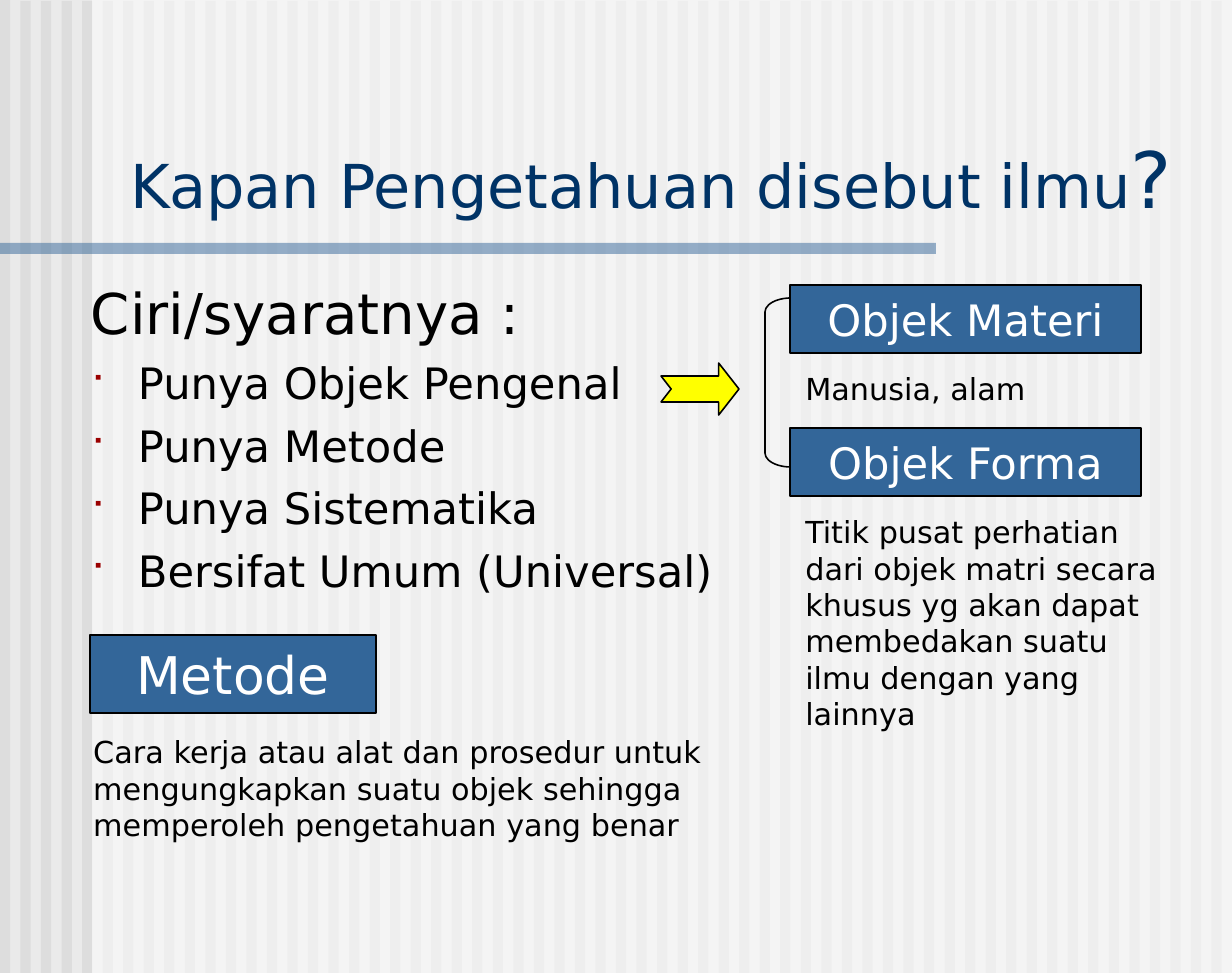
"""Build the slide on when knowledge is called science."""
from lxml.etree import SubElement
from pptx import Presentation
from pptx.dml.color import RGBColor
from pptx.enum.shapes import MSO_SHAPE as Shape
from pptx.enum.text import MSO_ANCHOR as Anchor, MSO_AUTO_SIZE as AutoSize, PP_ALIGN as Align
from pptx.oxml.ns import qn
from pptx.util import Pt

SCALE = 5877
WIDTH, HEIGHT = 1232, 973
STRIPES = 60
FONT = "DejaVu Sans"
COLORS = {
    "background": "EAEAEA", "stripe": "DDDDDD", "white": "FFFFFF",
    "blue": "336699", "title": "003366", "black": "000000",
    "bullet": "9A0000", "arrow": "FFFF00",
}


def add_figure(shapes, kind, box, fill=None, line=None, alpha=None):
    shape = shapes.add_shape(kind, *[round(value * SCALE) for value in box])
    shape.shadow.inherit = False
    if fill:
        shape.fill.solid()
        shape.fill.fore_color.rgb = RGBColor.from_string(COLORS[fill])
    else:
        shape.fill.background()
    if line:
        shape.line.color.rgb = RGBColor.from_string(COLORS[line])
        shape.line.width = Pt(0.75)
    else:
        shape.line.fill.background()
    if alpha:
        color = shape.element.spPr.find(qn("a:solidFill"))[0]
        SubElement(color, qn("a:alpha")).set("val", str(alpha * 1000))
    return shape


def add_text(paragraph, text, size, color):
    run = paragraph.add_run()
    run.text = text
    run.font.name = FONT
    run.font.size = Pt(size)
    run.font.color.rgb = RGBColor.from_string(COLORS[color])


presentation = Presentation()
presentation.slide_width = WIDTH * SCALE
presentation.slide_height = HEIGHT * SCALE
slide = presentation.slides.add_slide(presentation.slide_layouts[1])
slide.background.fill.solid()
slide.background.fill.fore_color.rgb = RGBColor.from_string(COLORS["background"])

pitch = WIDTH / STRIPES
stripes = slide.shapes.add_group_shape()
for number in range(STRIPES):
    add_figure(stripes.shapes, Shape.RECTANGLE, (number * pitch, min(number, 1), pitch / 2, HEIGHT), "stripe")
add_figure(slide.shapes, Shape.RECTANGLE, (92, 0, 1140, HEIGHT), "white", alpha=50)
add_figure(slide.shapes, Shape.RECTANGLE, (0, 243, 936, 11), "blue", alpha=50)

title, body = slide.placeholders
for placeholder, box, anchor in [
    (title, (118, 124, 1100, 106), Anchor.BOTTOM),
    (body, (78, 272, 1057, 430), Anchor.TOP),
]:
    for name, value in zip(("left", "top", "width", "height"), box):
        setattr(placeholder, name, value * SCALE)
    frame_format = {
        "auto_size": AutoSize.NONE, "word_wrap": True, "vertical_anchor": anchor,
        "margin_left": 13 * SCALE, "margin_right": 13 * SCALE,
        "margin_top": 6 * SCALE, "margin_bottom": 6 * SCALE,
    }
    for name, value in frame_format.items():
        setattr(placeholder.text_frame, name, value)
    placeholder.element.getparent().append(placeholder.element)

heading = title.text_frame.paragraphs[0]
heading.alignment = Align.LEFT
add_text(heading, "Kapan Pengetahuan disebut ilmu", 28, "title")
add_text(heading, "?", 36, "title")

traits = [
    "Ciri/syaratnya :",
    "Punya Objek Pengenal",
    "Punya Metode",
    "Punya Sistematika",
    "Bersifat Umum (Universal)",
]
for number, trait in enumerate(traits):
    paragraph = body.text_frame.add_paragraph() if number else body.text_frame.paragraphs[0]
    paragraph.space_before = Pt(5 if number else 6.5)
    add_text(paragraph, trait, 20 if number else 26, "black")
    properties = paragraph._p.get_or_add_pPr()
    properties.set("marL", str(47 * SCALE))
    properties.set("indent", str(-47 * SCALE))
    if number:
        bullet_color = SubElement(properties, qn("a:buClr"))
        SubElement(bullet_color, qn("a:srgbClr")).set("val", COLORS["bullet"])
        SubElement(properties, qn("a:buSzPct")).set("val", "75000")
        SubElement(properties, qn("a:buFont")).set("typeface", "Wingdings")
        SubElement(properties, qn("a:buChar")).set("char", "■")
    else:
        SubElement(properties, qn("a:buNone"))

for text, size, box in [
    ("Objek Materi", 20, (790, 285, 351, 68)),
    ("Objek Forma", 20, (790, 428, 351, 68)),
    ("Metode", 24, (90, 635, 286, 78)),
]:
    label = add_figure(slide.shapes, Shape.RECTANGLE, box, "blue", "black")
    label.text_frame.vertical_anchor = Anchor.MIDDLE
    label.text_frame.paragraphs[0].alignment = Align.CENTER
    add_text(label.text_frame.paragraphs[0], text, size, "white")

bracket = add_figure(slide.shapes, Shape.LEFT_BRACKET, (765, 298, 26, 169), line="black")
bracket.adjustments[0] = 0.54
arrow = add_figure(slide.shapes, Shape.NOTCHED_RIGHT_ARROW, (661, 363, 78, 52), "arrow", "black")
arrow.adjustments[1] = 0.39

for text, box in [
    ("Manusia, alam", (790, 363, 363, 53)),
    ("Titik pusat perhatian dari objek matri secara khusus yg akan dapat "
     "membedakan suatu ilmu dengan yang lainnya", (790, 506, 401, 198)),
    ("Cara kerja atau alat dan prosedur untuk mengungkapkan suatu objek "
     "sehingga memperoleh pengetahuan yang benar", (78, 726, 817, 125)),
]:
    note = slide.shapes.add_textbox(*[value * SCALE for value in box])
    note.text_frame.word_wrap = True
    add_text(note.text_frame.paragraphs[0], text, 14, "black")

presentation.save("out.pptx")
